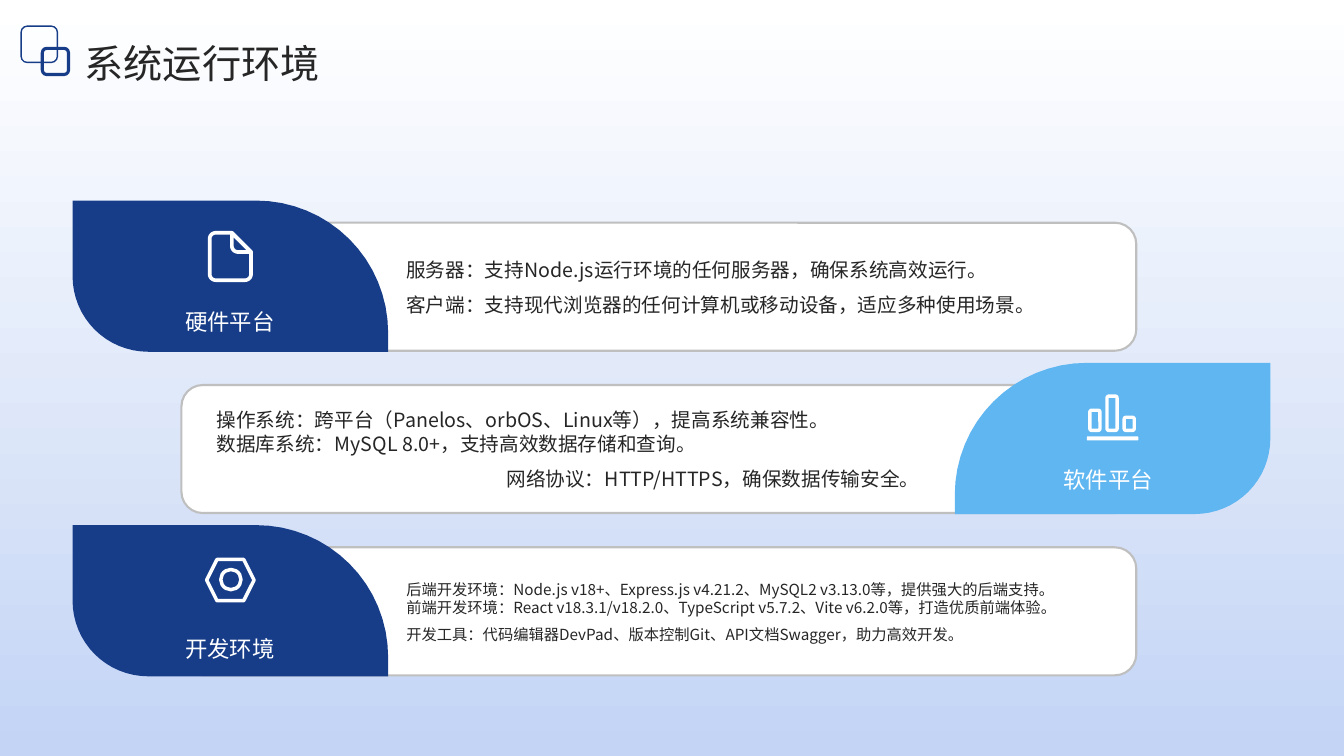
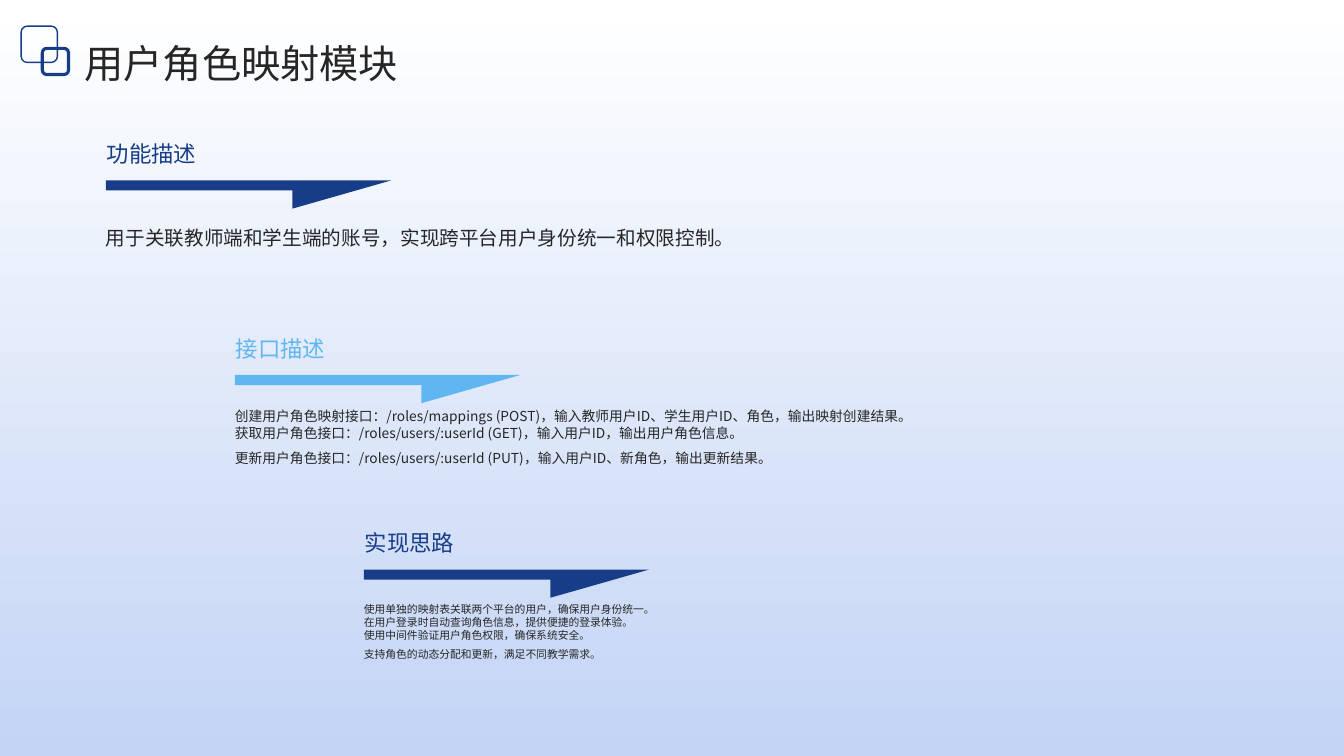
import math

import pptx
import pptx.dml.color
import pptx.enum.shapes
import pptx.enum.text
import pptx.oxml.ns
import pptx.util
from lxml import etree

Inches = pptx.util.Inches
MSO = pptx.enum.shapes.MSO_SHAPE
ALIGN = pptx.enum.text.PP_ALIGN
ANCHOR = pptx.enum.text.MSO_ANCHOR
rgb = pptx.dml.color.RGBColor.from_string
qn = pptx.oxml.ns.qn

FONT = "Noto Sans CJK SC"
NAVY, SKY, INK, WHITE, GREY = "173D89", "5FB6F1", "262626", "FFFFFF", "BFBFBF"
WIDTH, HEIGHT = 13.33, 7.5


def draw(s, form, box=None, fill=None, line=None, width=1):
    """Add a preset shape in box, or an outline given as a list of
    (centre x, centre y, radius, start angle, sweep) corners."""
    if isinstance(form, list):
        pts = []
        for cx, cy, radius, start, sweep in form:
            steps = 16 if radius else 0
            for i in range(steps + 1):
                a = math.radians(start + sweep * i / max(steps, 1))
                pts.append((Inches(cx + radius * math.cos(a)),
                            Inches(cy + radius * math.sin(a))))
        builder = s.shapes.build_freeform(*pts[0])
        builder.add_line_segments(pts[1:], close=True)
        sp = builder.convert_to_shape()
    else:
        sp = s.shapes.add_shape(form, *map(Inches, box))
    sp.shadow.inherit = False
    if fill:
        sp.fill.solid()
        sp.fill.fore_color.rgb = rgb(fill)
    else:
        sp.fill.background()
    if line:
        sp.line.color.rgb = rgb(line)
        sp.line.width = pptx.util.Pt(width)
    else:
        sp.line.fill.background()
    return sp


def write(s, box, lines, size, color, spacing=1.5, anchor=ANCHOR.TOP,
          align=ALIGN.LEFT):
    """Add a text box; align and spacing apply to its last line only."""
    tf = s.shapes.add_textbox(*map(Inches, box)).text_frame
    tf.word_wrap = True
    tf.vertical_anchor = anchor
    tf.margin_left = tf.margin_right = tf.margin_top = tf.margin_bottom = 0
    for i, text in enumerate(lines):
        p = tf.paragraphs[0] if i == 0 else tf.add_paragraph()
        p.add_run().text = text
        last = i == len(lines) - 1
        p.alignment = align if last else ALIGN.LEFT
        p.line_spacing = spacing if last else 1.0
        p.font.size = pptx.util.Pt(size)
        p.font.color.rgb = rgb(color)
        p.font.name = FONT
        props = p._p.pPr.find(qn("a:defRPr"))
        etree.SubElement(props, qn("a:ea")).set("typeface", FONT)


prs = pptx.Presentation()
prs.slide_width, prs.slide_height = Inches(WIDTH), Inches(HEIGHT)

# Background, title and corner mark of every slide
slides = []
for title in ("系统运行环境", "用户角色映射模块"):
    s = prs.slides.add_slide(prs.slide_layouts[6])
    bg = s.background.fill
    bg.gradient()
    bg.gradient_angle = 270
    for stop, color, position in zip(bg.gradient_stops, (WHITE, "C3D4F5"), (0, 1)):
        stop.color.rgb = rgb(color)
        stop.position = position
    write(s, (0.84, 0.25, 11.35, 0.59), [title], 28, INK, spacing=1.3)
    draw(s, MSO.ROUNDED_RECTANGLE, (0.21, 0.26, 0.36, 0.36), line=NAVY, width=1)
    draw(s, MSO.ROUNDED_RECTANGLE, (0.42, 0.48, 0.26, 0.26), line=NAVY, width=2.25)
    slides.append(s)
environment, mapping = slides

# Running environment: three cards, the middle one mirrored
cards = [
    ("硬件平台", 2.89, 14, [
        "服务器：支持Node.js运行环境的任何服务器，确保系统高效运行。",
        "客户端：支持现代浏览器的任何计算机或移动设备，适应多种使用场景。"]),
    ("软件平台", 4.46, 14, [
        "操作系统：跨平台（Panelos、orbOS、Linux等），提高系统兼容性。",
        "数据库系统：MySQL 8.0+，支持高效数据存储和查询。",
        "网络协议：HTTP/HTTPS，确保数据传输安全。"]),
    ("开发环境", 6.13, 10.9, [
        "后端开发环境：Node.js v18+、Express.js v4.21.2、MySQL2 v3.13.0等，提供强大的后端支持。",
        "前端开发环境：React v18.3.1/v18.2.0、TypeScript v5.7.2、Vite v6.2.0等，打造优质前端体验。",
        "开发工具：代码编辑器DevPad、版本控制Git、API文档Swagger，助力高效开发。"]),
]
for i, (label, label_top, size, lines) in enumerate(cards):
    top = 1.99 + 1.61 * i
    mirrored = i == 1
    draw(environment, MSO.ROUNDED_RECTANGLE, (1.8, top + 0.22, 9.47, 1.27),
         WHITE, GREY, 1.5)
    leaf = [(0.72, top, 0, 0, 0), (2.54, top + 1.31, 1.31, -90, 90),
            (3.85, top + 1.5, 0, 0, 0), (1.47, top + 0.75, 0.75, 90, 90)]
    if mirrored:
        leaf = [(13.32 - x, y, r, 180 - start, -sweep)
                for x, y, r, start, sweep in leaf]
    draw(environment, leaf, fill=SKY if mirrored else NAVY)
    write(environment, (2.15 if mirrored else 4.03, top + 0.33, 6.97, 1.06),
          lines, size, INK, anchor=ANCHOR.MIDDLE,
          align=ALIGN.RIGHT if mirrored else ALIGN.LEFT)
    write(environment, (9.93 if mirrored else 1.22, label_top, 2.12, 0.47),
          [label], 16, WHITE, anchor=ANCHOR.MIDDLE, align=ALIGN.CENTER)

# Document icon: sheet, then folded corner
sheet = [(2.14, 2.37, 0.06, 180, 90), (2.3, 2.31, 0, 0, 0), (2.49, 2.5, 0, 0, 0),
         (2.43, 2.72, 0.06, 0, 90), (2.14, 2.72, 0.06, 90, 90)]
fold = [(2.3, 2.31, 0, 0, 0), (2.49, 2.5, 0, 0, 0), (2.36, 2.44, 0.06, 90, 90)]
for outline in (sheet, fold):
    draw(environment, outline, line=WHITE, width=2.6)

# Bar chart icon
for left, top in ((10.81, 4.07), (10.98, 3.93), (11.15, 4.14)):
    draw(environment, MSO.ROUNDED_RECTANGLE, (left, top, 0.1, 4.27 - top),
         line=WHITE, width=2.4)
draw(environment, MSO.ROUNDED_RECTANGLE, (10.78, 4.33, 0.51, 0.04), WHITE)

# Hexagon nut icon
draw(environment, MSO.HEXAGON, (2.05, 5.55, 0.47, 0.41), line=WHITE, width=2.5)
draw(environment, MSO.OVAL, (2.19, 5.65, 0.2, 0.2), line=WHITE, width=2.5)

# Role mapping: three sections stepping down to the right
sections = [
    ("功能描述", NAVY, 14, [
        "用于关联教师端和学生端的账号，实现跨平台用户身份统一和权限控制。"]),
    ("接口描述", SKY, 9.8, [
        "创建用户角色映射接口：/roles/mappings (POST)，输入教师用户ID、学生用户ID、角色，输出映射创建结果。",
        "获取用户角色接口：/roles/users/:userId (GET)，输入用户ID，输出用户角色信息。",
        "更新用户角色接口：/roles/users/:userId (PUT)，输入用户ID、新角色，输出更新结果。"]),
    ("实现思路", NAVY, 7.7, [
        "使用单独的映射表关联两个平台的用户，确保用户身份统一。",
        "在用户登录时自动查询角色信息，提供便捷的登录体验。",
        "使用中间件验证用户角色权限，确保系统安全。",
        "支持角色的动态分配和更新，满足不同教学需求。"]),
]
for i, (heading, color, size, lines) in enumerate(sections):
    left, top = 1.05 + 1.28 * i, 1.79 + 1.93 * i
    arrow = [(0, 0), (2.83, 0), (1.85, 0.28), (1.85, 0.1), (0, 0.1)]
    draw(mapping, [(left + x, top + y, 0, 0, 0) for x, y in arrow], fill=color)
    write(mapping, (left + 0.01, top - 0.48, 8.66, 0.47), [heading], 16, color,
          spacing=1.3)
    write(mapping, (left, top + 0.33, 8.66, 0.67), lines, size, INK)

prs.save("out.pptx")
